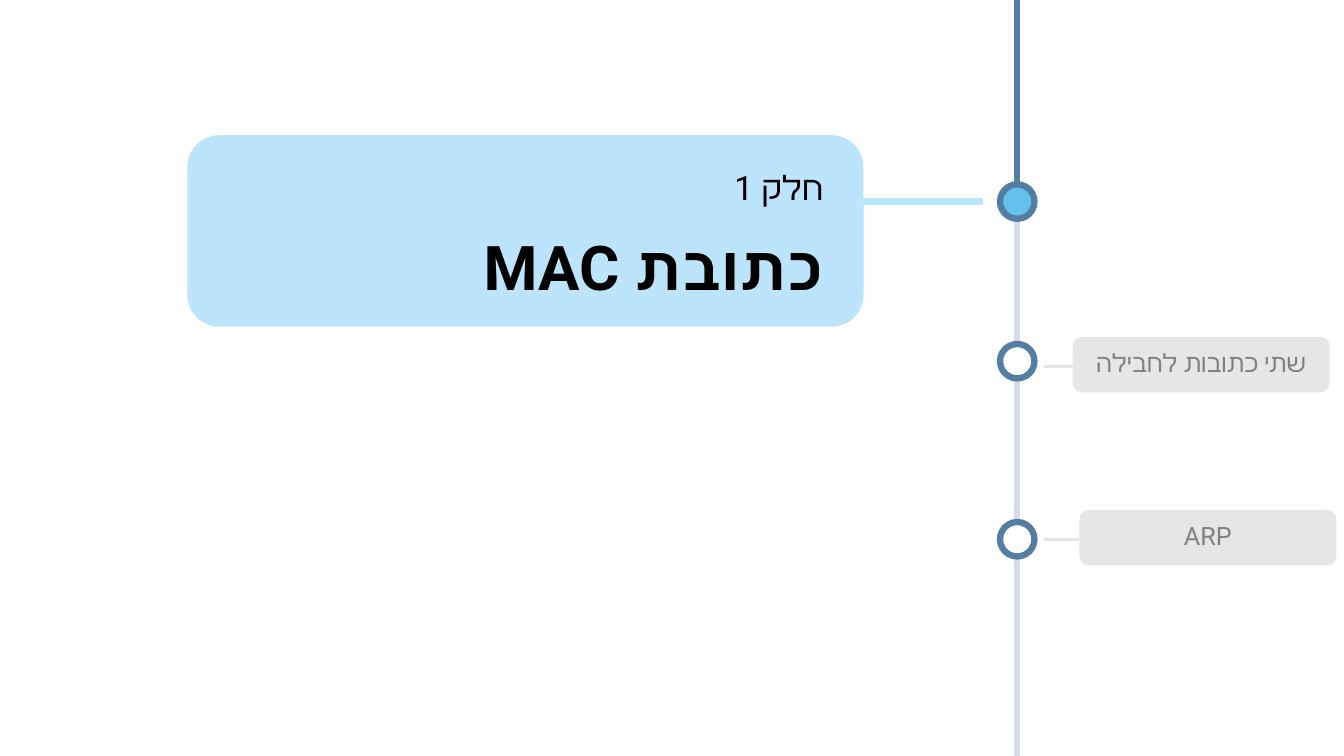
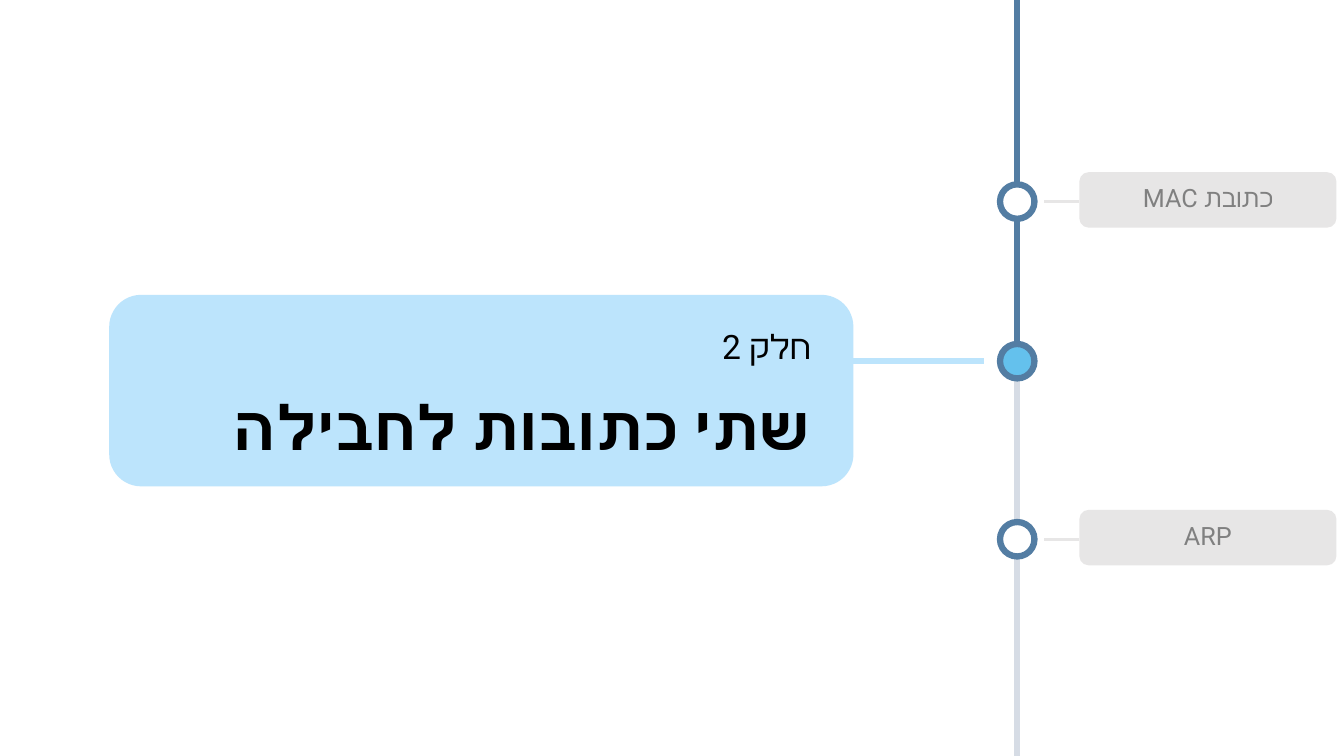
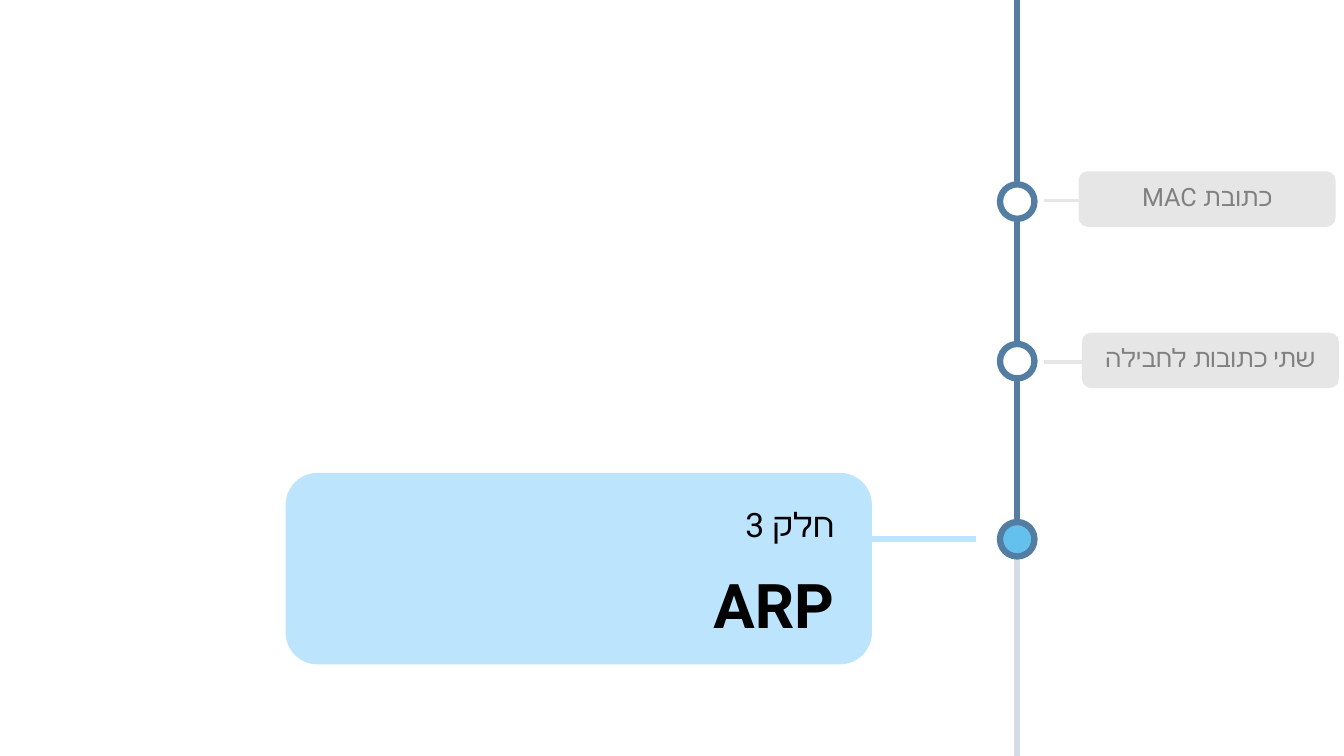
from dataclasses import dataclass

from lxml import etree
from pptx import Presentation
from pptx.dml.color import RGBColor
from pptx.enum.shapes import MSO_CONNECTOR, MSO_SHAPE
from pptx.enum.text import MSO_ANCHOR, MSO_AUTO_SIZE, PP_ALIGN
from pptx.oxml.ns import qn
from pptx.shapes.autoshape import Shape
from pptx.slide import Slide
from pptx.text.text import _Paragraph
from pptx.util import Emu, Inches, Pt

ELLIPSE = MSO_SHAPE.OVAL
ROUNDED = MSO_SHAPE.ROUNDED_RECTANGLE
STRAIGHT = MSO_CONNECTOR.STRAIGHT
CENTER, RIGHT = PP_ALIGN.CENTER, PP_ALIGN.RIGHT
TOP, MIDDLE = MSO_ANCHOR.TOP, MSO_ANCHOR.MIDDLE
NO_AUTOFIT = MSO_AUTO_SIZE.NONE

SLIDE_WIDTH, SLIDE_HEIGHT = Inches(13.33), Inches(7.5)
COLUMNS, ROWS = 32, 18
TITLE_ONLY = 5

AXIS = 24.22
STATIONS = (4.8, 8.6, 12.84)
DOT = 0.82
CARD_HEIGHT, CARD_RISE = 4.56, 1.58
TITLE_HEIGHT, TITLE_DROP = 4.51, 0.24
TITLE_INDENT = 0.03
STEM_OVERLAP = 0.4
TAG_WIDTH, TAG_HEIGHT = 6.12, 1.32
TAG_STEM_START, TAG_STEM_DROP = 24.86, 0.04


@dataclass(frozen=True)
class Theme:
    font: str = "Roboto"
    track: str = "D6DCE5"
    progress: str = "537DA3"
    current: str = "64C1ED"
    waiting: str = "FFFFFF"
    card: str = "BCE4FC"
    tag: str = "E7E6E6"
    tag_text: str = "808080"
    text: str = "000000"
    part_size: int = 24
    title_size: int = 44
    tag_size: int = 18
    heavy: float = 4.5
    thin: float = 2.25
    title_spacing: float = 1.3


@dataclass(frozen=True)
class Tag:
    topic: int
    left: float
    middle: float


@dataclass(frozen=True)
class Chapter:
    topic: int
    card_left: float
    card_width: float
    stem_end: float
    tags: tuple[Tag, ...]


THEME = Theme()
TOPICS = ("כתובת MAC", "שתי כתובות לחבילה", "ARP")
CHAPTERS = (
    Chapter(0, 4.46, 16.1, 23.4, (Tag(1, 25.54, 8.68), Tag(2, 25.7, 12.8))),
    Chapter(1, 2.6, 17.72, 23.42, (Tag(0, 25.7, 4.76), Tag(2, 25.7, 12.8))),
    Chapter(2, 6.8, 13.96, 23.24, (Tag(0, 25.68, 4.74), Tag(1, 25.76, 8.58))),
)


def across(columns: float) -> Emu:
    return Emu(round(SLIDE_WIDTH * columns / COLUMNS))


def down(rows: float) -> Emu:
    return Emu(round(SLIDE_HEIGHT * rows / ROWS))


def draw_line(slide: Slide, start: tuple[float, float], end: tuple[float, float],
              color: str, weight: float) -> None:
    line = slide.shapes.add_connector(
        STRAIGHT, across(start[0]), down(start[1]), across(end[0]), down(end[1]))
    line.line.color.rgb = RGBColor.from_string(color)
    line.line.width = Pt(weight)
    etree.SubElement(line._element.spPr, qn("a:effectLst"))


def draw_shape(slide: Slide, preset: MSO_SHAPE, left: float, top: float,
               width: float, height: float, fill: str) -> Shape:
    shape = slide.shapes.add_shape(
        preset, across(left), down(top), across(width), down(height))
    shape.shadow.inherit = False
    shape.fill.solid()
    shape.fill.fore_color.rgb = RGBColor.from_string(fill)
    shape.line.fill.background()
    return shape


def format_paragraph(paragraph: _Paragraph, align: PP_ALIGN, size: int,
                     color: str, bold: bool = False) -> None:
    paragraph.alignment = align
    paragraph._p.get_or_add_pPr().set("rtl", "1")
    for run in paragraph.runs:
        run.font.size = Pt(size)
        run.font.bold = bold
        run.font.color.rgb = RGBColor.from_string(color)
        run.font.name = THEME.font
        etree.SubElement(run._r.get_or_add_rPr(), qn("a:cs"), typeface=THEME.font)


def set_frame(shape: Shape, anchor: MSO_ANCHOR, side: float, top: float,
              bottom: float) -> None:
    frame = shape.text_frame
    frame.word_wrap = True
    frame.auto_size = NO_AUTOFIT
    frame.vertical_anchor = anchor
    frame.margin_left = frame.margin_right = Inches(side)
    frame.margin_top, frame.margin_bottom = Inches(top), Inches(bottom)


def draw_timeline(slide: Slide, current: int) -> None:
    draw_line(slide, (AXIS, 0), (AXIS, ROWS), THEME.track, THEME.heavy)
    stops = (0, *STATIONS[max(current - 1, 0):current + 1])
    for start, end in zip(stops, stops[1:]):
        draw_line(slide, (AXIS, start), (AXIS, end), THEME.progress, THEME.heavy)
    for topic, station in enumerate(STATIONS):
        fill = THEME.current if topic == current else THEME.waiting
        dot = draw_shape(slide, ELLIPSE, AXIS - DOT / 2, station - DOT / 2, DOT, DOT, fill)
        dot.line.color.rgb = RGBColor.from_string(THEME.progress)
        dot.line.width = Pt(THEME.heavy)


def draw_card(slide: Slide, chapter: Chapter) -> None:
    station = STATIONS[chapter.topic]
    left, width = chapter.card_left, chapter.card_width
    top = station - CARD_RISE
    draw_shape(slide, ROUNDED, left, top, width, CARD_HEIGHT, THEME.card)
    draw_line(slide, (chapter.stem_end, station), (left + width - STEM_OVERLAP, station),
              THEME.card, THEME.heavy)

    title = slide.shapes.title
    slide.shapes._spTree.append(title._element)
    indent = width * TITLE_INDENT
    title.left, title.top = across(left + indent), down(top + TITLE_DROP)
    title.width, title.height = across(width - 2 * indent), down(TITLE_HEIGHT)
    set_frame(title, TOP, 0.2, 0.09, 0.14)
    title.text_frame.text = f"חלק {chapter.topic + 1}\n{TOPICS[chapter.topic]}"
    part, topic = title.text_frame.paragraphs
    format_paragraph(part, RIGHT, THEME.part_size, THEME.text)
    format_paragraph(topic, RIGHT, THEME.title_size, THEME.text, bold=True)
    for paragraph in (part, topic):
        paragraph.line_spacing = THEME.title_spacing


def draw_tag(slide: Slide, tag: Tag) -> None:
    stem = tag.middle + TAG_STEM_DROP
    draw_line(slide, (tag.left, stem), (TAG_STEM_START, stem), THEME.tag, THEME.thin)
    label = draw_shape(slide, ROUNDED, tag.left, tag.middle - TAG_HEIGHT / 2,
                       TAG_WIDTH, TAG_HEIGHT, THEME.tag)
    set_frame(label, MIDDLE, 0.1, 0, 0.05)
    label.text_frame.text = TOPICS[tag.topic]
    format_paragraph(label.text_frame.paragraphs[0], CENTER, THEME.tag_size, THEME.tag_text)


def main() -> None:
    deck = Presentation()
    deck.slide_width, deck.slide_height = SLIDE_WIDTH, SLIDE_HEIGHT
    for chapter in CHAPTERS:
        slide = deck.slides.add_slide(deck.slide_layouts[TITLE_ONLY])
        draw_timeline(slide, chapter.topic)
        draw_card(slide, chapter)
        for tag in chapter.tags:
            draw_tag(slide, tag)
    deck.save("out.pptx")


if __name__ == "__main__":
    main()
